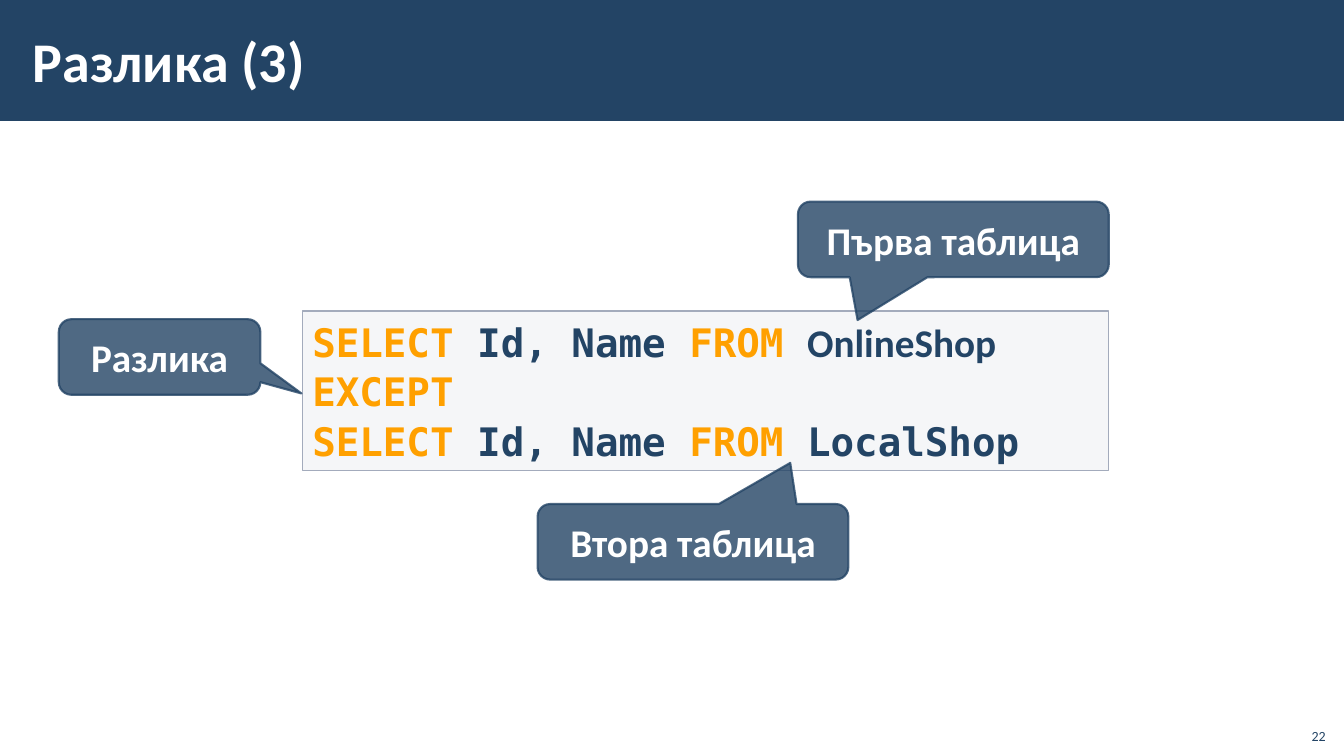
from dataclasses import dataclass
from lxml import etree
from pptx import Presentation
from pptx.dml.color import RGBColor
from pptx.enum.shapes import MSO_SHAPE
from pptx.enum.text import MSO_ANCHOR, MSO_AUTO_SIZE, PP_ALIGN
from pptx.oxml.ns import qn
from pptx.util import Pt

RECT = MSO_SHAPE.RECTANGLE
CALLOUT = MSO_SHAPE.ROUNDED_RECTANGULAR_CALLOUT
TOP, MIDDLE, BOTTOM = MSO_ANCHOR.TOP, MSO_ANCHOR.MIDDLE, MSO_ANCHOR.BOTTOM
LEFT, CENTER, RIGHT = PP_ALIGN.LEFT, PP_ALIGN.CENTER, PP_ALIGN.RIGHT
NO_FIT = MSO_AUTO_SIZE.NONE


@dataclass(frozen=True)
class Theme:
    navy: str = "234465"
    keyword: str = "FFA000"
    white: str = "FFFFFF"
    code_fill: str = "C2C7D2"
    code_line: str = "A3ABBC"
    sans: str = "Calibri"
    mono: str = "DejaVu Sans Mono"
    title_size: int = 40
    body_size: int = 28
    number_size: int = 10


THEME = Theme()
TITLE = "Разлика (3)"
NUMBER = "22"
KEYWORD = (THEME.mono, THEME.keyword)
NAME = (THEME.mono, THEME.navy)
SANS_NAME = (THEME.sans, THEME.navy)
CODE = [
    [("SELECT", KEYWORD), (" Id, Name ", NAME), ("FROM ", KEYWORD), ("OnlineShop", SANS_NAME)],
    [("EXCEPT", KEYWORD)],
    [("SELECT", KEYWORD), (" Id, Name ", NAME), ("FROM", KEYWORD), (" LocalShop", NAME)],
]
CALLOUTS = [
    ("Първа таблица", 570, 144, 222, (-0.308, 1.067)),
    ("Втора таблица", 384, 360, 222, (0.313, -1.044)),
    ("Разлика", 42, 228, 144, (0.704, 0.483)),
]
CALLOUT_HEIGHT = 54


def set_alpha(fill_parent, percent):
    color = fill_parent.find(qn("a:solidFill"))[0]
    etree.SubElement(color, qn("a:alpha")).set("val", str(percent * 1000))


def style_run(r, size, font, color, bold=True):
    r.font.size = Pt(size)
    r.font.name = font
    r.font.bold = bold
    r.font.color.rgb = RGBColor.from_string(color)


def write(sp, text, size, color, align, anchor, bold=True):
    tf = sp.text_frame
    tf.word_wrap = True
    tf.vertical_anchor = anchor
    tf.text = text
    p = tf.paragraphs[0]
    p.alignment = align
    style_run(p.runs[0], size, THEME.sans, color, bold)


def add_box(s, kind, box, fill, alpha=100, line=None, line_width=1):
    sp = s.shapes.add_shape(kind, *map(Pt, box))
    sp.shadow.inherit = False
    sp.fill.solid()
    sp.fill.fore_color.rgb = RGBColor.from_string(fill)
    set_alpha(sp._element.spPr, alpha)
    if line:
        sp.line.color.rgb = RGBColor.from_string(line)
        sp.line.width = Pt(line_width)
    else:
        sp.line.fill.background()
    return sp


def add_title(s):
    band = add_box(s, RECT, (0, 0, 960, 86.4), THEME.navy)
    title = s.shapes.title
    title._element.addprevious(band._element)
    title.left, title.top, title.width, title.height = map(Pt, (15, 8, 765, 70))
    write(title, TITLE, THEME.title_size, THEME.white, LEFT, MIDDLE)
    tf = title.text_frame
    tf.auto_size = NO_FIT
    tf.margin_left = tf.margin_right = Pt(8.5)
    tf.margin_top = tf.margin_bottom = Pt(2.8)


def add_code(s):
    sp = add_box(s, RECT, (216, 222, 576, 114.2), THEME.code_fill, 15, THEME.code_line)
    tf = sp.text_frame
    tf.word_wrap = True
    tf.vertical_anchor = TOP
    for i, line in enumerate(CODE):
        p = tf.add_paragraph() if i else tf.paragraphs[0]
        p.alignment = LEFT
        p.line_spacing = 1.05
        for text, (font, color) in line:
            r = p.add_run()
            r.text = text
            style_run(r, THEME.body_size, font, color)


def add_callout(s, text, left, top, width, tip):
    box = (left, top, width, CALLOUT_HEIGHT)
    sp = add_box(s, CALLOUT, box, THEME.navy, 80, THEME.navy, 1.5)
    set_alpha(sp._element.spPr.find(qn("a:ln")), 80)
    for i, value in enumerate((*tip, 0.167)):
        sp.adjustments[i] = value
    write(sp, text, THEME.body_size, THEME.white, CENTER, MIDDLE)


def main():
    prs = Presentation()
    prs.slide_width, prs.slide_height = Pt(960), Pt(540)
    s = prs.slides.add_slide(prs.slide_layouts[5])
    add_title(s)
    number = s.shapes.add_textbox(*map(Pt, (925, 512.5, 29, 23)))
    write(number, NUMBER, THEME.number_size, THEME.navy, RIGHT, BOTTOM, False)
    add_code(s)
    for callout in CALLOUTS:
        add_callout(s, *callout)
    prs.save("out.pptx")


if __name__ == "__main__":
    main()
